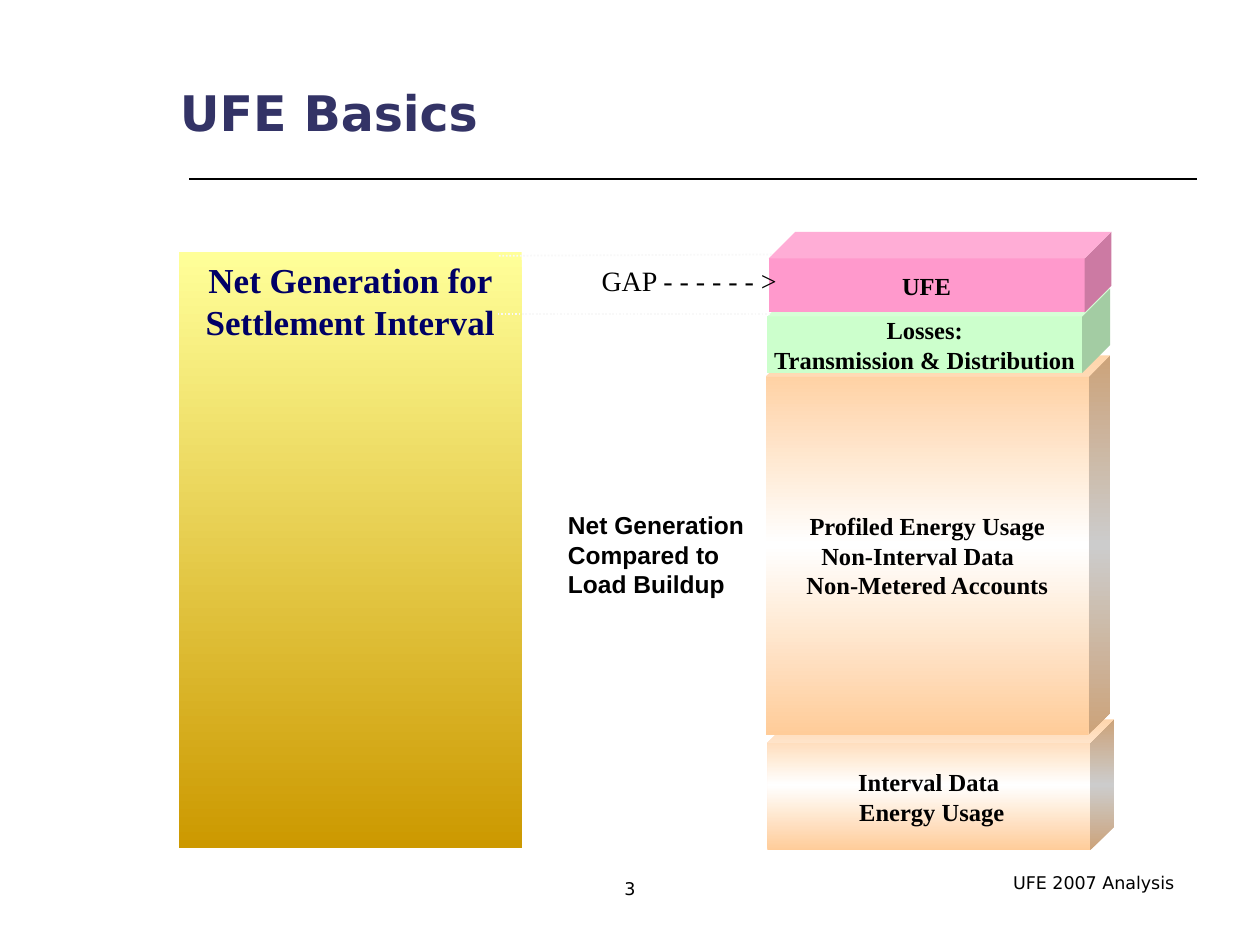
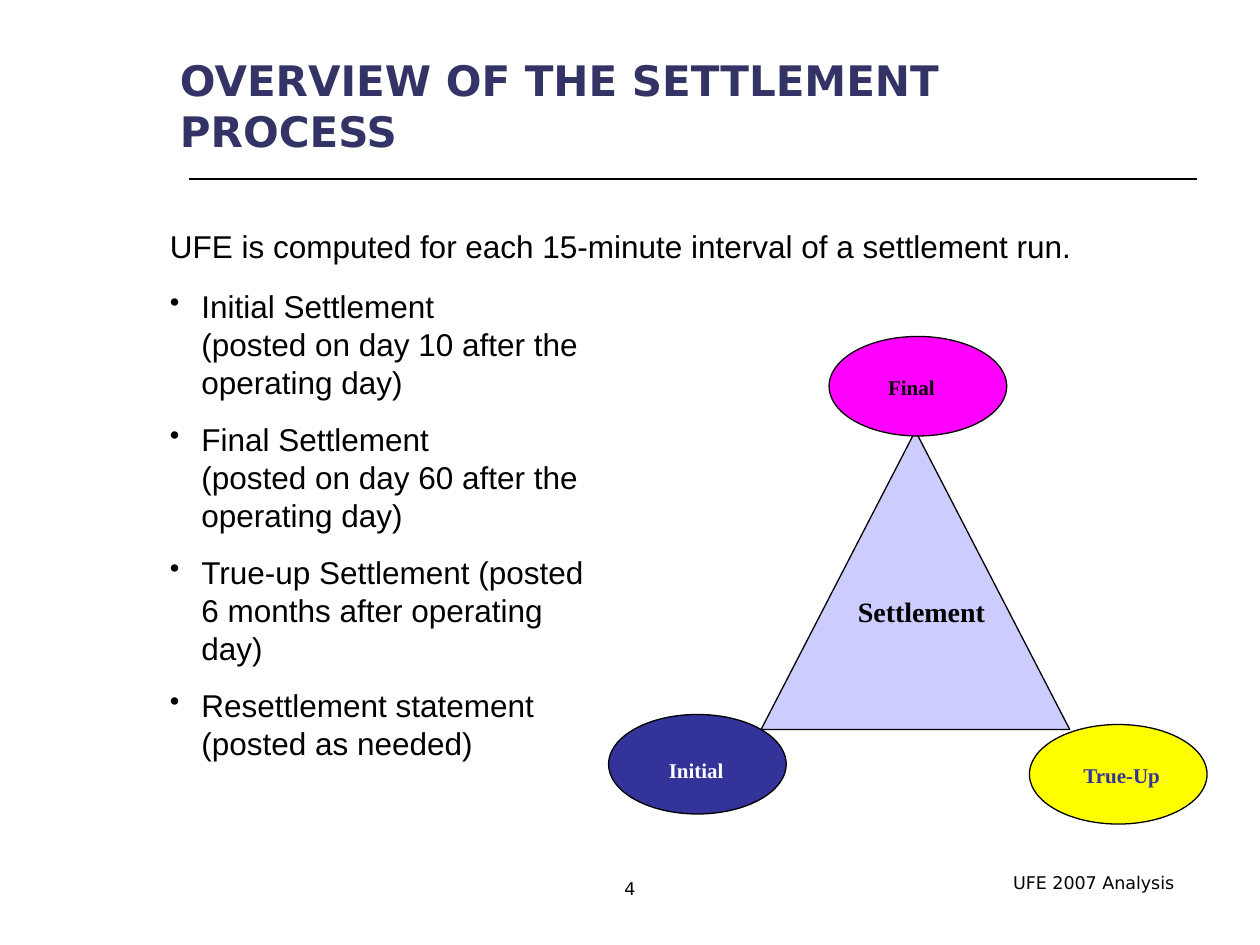
from dataclasses import dataclass

from lxml import etree
from pptx import Presentation
from pptx import util as u
from pptx.dml import color
from pptx.enum import dml, shapes, text
from pptx.oxml import ns


@dataclass(frozen=True)
class Theme:
    head: str = "DejaVu Sans"
    serif: str = "Times New Roman"
    sans: str = "Arial"
    ink: str = "000000"
    title: str = "333366"
    navy: str = "000066"
    blue: str = "333399"
    white: str = "FFFFFF"
    dots: str = "F8F8F8"
    lilac: str = "CCCCFF"
    yellow: str = "FFFF00"
    magenta: str = "FF00FF"
    mint: str = "CCFFCC"
    pink: str = "FF99CC"
    gold: tuple = ("FFFF99", "CC9900")
    peach: tuple = ("FFCC99", "FFFFFF", "FFCC99")
    foot: int = 10
    tag: int = 12
    label: int = 14
    mid: int = 16
    body: int = 18
    large: int = 20


T = Theme()
KIND = shapes.MSO_SHAPE
LEFT, MID = text.PP_ALIGN.LEFT, text.PP_ALIGN.CENTER
TOP, CORE, BASE = (text.MSO_ANCHOR.TOP, text.MSO_ANCHOR.MIDDLE,
                   text.MSO_ANCHOR.BOTTOM)

FOOTER = "UFE 2007 Analysis"
TITLES = [
    ("UFE Basics", (1.33, 0.58, 4.89, 0.59), 28, BASE),
    ("OVERVIEW OF THE SETTLEMENT PROCESS", (1.33, 0.52, 6.42, 0.63), 24, CORE),
]

SUPPLY = "Net Generation for Settlement Interval"
CUBES = [
    ((6.09, 5.71, 2.75, 1.04), 0.182, T.peach, 0.1,
     [("Interval Data", MID, 0), ("Energy Usage", MID, 0.05)]),
    ((6.08, 2.82, 2.73, 3.01), 0.062, T.peach, 0.1,
     [("Profiled Energy Usage", MID, 0), ("Non-Interval Data", LEFT, 0.34),
      ("Non-Metered Accounts", MID, 0)]),
    ((6.09, 2.29, 2.72, 0.67), 0.331, T.mint, 0.05,
     [("Losses:", MID, 0), ("Transmission & Distribution", MID, 0)]),
    ((6.1, 1.84, 2.72, 0.64), 0.331, T.pink, 0.05, [("UFE", MID, 0)]),
]
GUIDES = [(3.95, 2.49, 6.1, 2.49), (3.96, 2.03, 6.13, 2.02)]
GAP = "GAP - - - - - - >"
NOTE = ["Net Generation", "Compared to", "Load Buildup"]

INTRO = "UFE is computed for each 15-minute interval of a settlement run."
STEPS = [
    "Initial Settlement\n(posted on day 10 after the operating day)",
    "Final Settlement\n(posted on day 60 after the operating day)",
    "True-up Settlement (posted 6 months after operating day)",
    "Resettlement statement (posted as needed)",
]
NODES = [
    ("Initial", (4.83, 5.67), (4.96, 5.96), T.blue, T.white),
    ("True-Up", (8.17, 5.75), (8.25, 6), T.yellow, T.blue),
    ("Final", (6.58, 2.67), (6.7, 2.92), T.magenta, T.ink),
]


def rgb(code):
    return color.RGBColor.from_string(code)


def place(box):
    return [u.Inches(n) for n in box]


def mark(props):
    tint = etree.SubElement(props, ns.qn("a:buClr"))
    etree.SubElement(tint, ns.qn("a:srgbClr"), val=T.ink)
    etree.SubElement(props, ns.qn("a:buSzPct"), val="90000")
    etree.SubElement(props, ns.qn("a:buChar"), char="•")


def write(shape, lines, size, face, ink=T.ink, bold=False, align=LEFT,
          anchor=TOP, side=0.1, wrap=True, bullet=False, gap=0):
    frame = shape.text_frame
    frame.word_wrap = wrap
    frame.vertical_anchor = anchor
    frame.margin_left = frame.margin_right = u.Inches(side)
    frame.margin_top = frame.margin_bottom = u.Inches(0.05)
    for i, line in enumerate(lines):
        words, where, indent = line if isinstance(line, tuple) else (line, align, 0)
        para = frame.add_paragraph() if i else frame.paragraphs[0]
        para.text = words
        props = para._p.get_or_add_pPr()
        if bullet:
            indent = 0.25
            props.set("indent", str(-u.Inches(indent)))
            mark(props)
        if indent:
            props.set("marL", str(u.Inches(indent)))
        para.alignment = where
        if i and gap:
            para.space_before = u.Pt(gap)
        font = para.font
        font.size, font.name, font.bold = u.Pt(size), face, bold
        font.color.rgb = rgb(ink)


def label(slide, box, lines, size, face, **style):
    write(slide.shapes.add_textbox(*place(box)), lines, size, face, **style)


def blend(shape, stops):
    shape.fill.gradient()
    shape.fill.gradient_angle = 270
    ramp = shape._element.spPr.find(".//" + ns.qn("a:gsLst"))
    for old in list(ramp):
        ramp.remove(old)
    for i, code in enumerate(stops):
        pos = str(100000 * i // (len(stops) - 1))
        stop = etree.SubElement(ramp, ns.qn("a:gs"), pos=pos)
        etree.SubElement(stop, ns.qn("a:srgbClr"), val=code)


def draw(slide, kind, box, fill, edge=None):
    shape = slide.shapes.add_shape(kind, *place(box))
    shape.shadow.inherit = False
    if isinstance(fill, tuple):
        blend(shape, fill)
    else:
        shape.fill.solid()
        shape.fill.fore_color.rgb = rgb(fill)
    if edge:
        shape.line.color.rgb = rgb(edge)
        shape.line.width = u.Pt(0.75)
    else:
        shape.line.fill.background()
    return shape


def rule(slide, ends, ink, dash=None):
    line = slide.shapes.add_connector(shapes.MSO_CONNECTOR.STRAIGHT, *place(ends))
    line.line.color.rgb = rgb(ink)
    line.line.width = u.Pt(1)
    if dash:
        line.line.dash_style = dash
    etree.SubElement(line._element.spPr, ns.qn("a:effectLst"))


def start(deck, head, page):
    slide = deck.slides.add_slide(deck.slide_layouts[6])
    words, box, size, anchor = head
    rule(slide, (1.5, 1.42, 9.5, 1.42), T.ink)
    label(slide, (7.93, 6.87, 1.5, 0.27), [FOOTER], T.foot, T.head, align=MID)
    label(slide, (4.6, 6.92, 0.8, 0.33), [str(page)], T.foot, T.head, align=MID)
    label(slide, box, [words], size, T.head, ink=T.title, bold=True,
          anchor=anchor)
    return slide


def basics(slide):
    bar = draw(slide, KIND.RECTANGLE, (1.42, 2, 2.72, 4.73), T.gold)
    write(bar, [SUPPLY], T.large, T.serif, ink=T.navy, bold=True, align=MID,
          side=0.05)
    for box, depth, fill, side, lines in CUBES:
        cube = draw(slide, KIND.CUBE, box, fill)
        cube.adjustments[0] = depth
        write(cube, lines, T.label, T.serif, bold=True, anchor=CORE, side=side)
    for ends in GUIDES:
        rule(slide, ends, T.dots, dml.MSO_LINE.ROUND_DOT)
    label(slide, (4.67, 2.04, 1.6, 0.37), [GAP], T.mid, T.serif, align=MID,
          anchor=CORE, wrap=False)
    label(slide, (4.41, 4, 1.6, 0.8), NOTE, T.label, T.sans, bold=True,
          wrap=False)


def process(slide):
    label(slide, (1.25, 1.75, 7.92, 0.5), [INTRO], T.body, T.sans)
    draw(slide, KIND.ISOSCELES_TRIANGLE, (6.04, 3.42, 2.45, 2.37), T.lilac, T.ink)
    for name, spot, tag, fill, ink in NODES:
        draw(slide, KIND.OVAL, (*spot, 1.41, 0.79), fill, T.ink)
        label(slide, (*tag, 1.38, 0.31), [(name, LEFT, 0.25)], T.tag, T.serif,
              ink=ink, bold=True)
    label(slide, (6.71, 4.67, 1.29, 0.5), ["Settlement"], T.mid, T.serif,
          bold=True)
    label(slide, (1.25, 2.23, 3.67, 3.87), STEPS, T.body, T.sans, bullet=True,
          gap=11.2)


def main():
    deck = Presentation()
    deck.slide_width, deck.slide_height = u.Inches(10), u.Inches(7.5)
    for page, (head, fill) in enumerate(zip(TITLES, (basics, process)), 3):
        fill(start(deck, head, page))
    deck.save("out.pptx")


if __name__ == "__main__":
    main()
